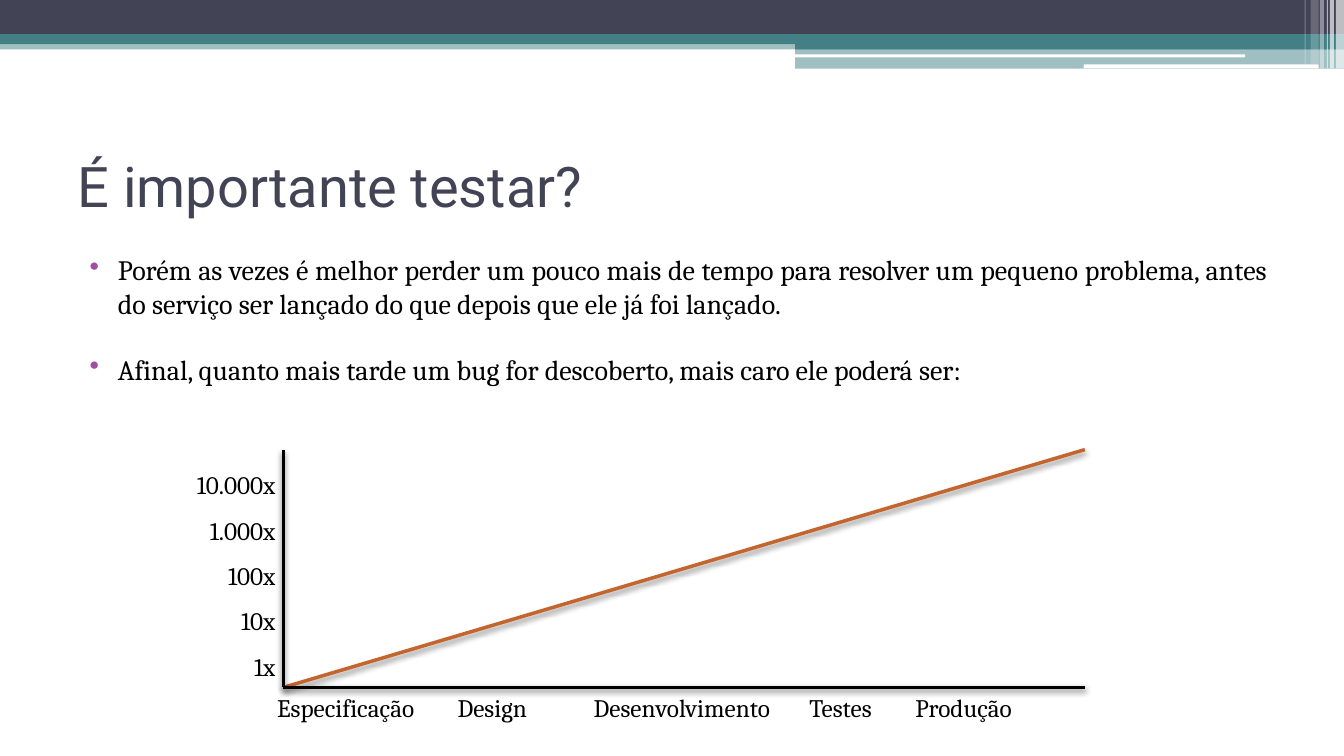
import pptx
import pptx.dml.color
import pptx.enum.shapes
import pptx.enum.text
import pptx.oxml
import pptx.oxml.ns
import pptx.util

WIDTH, HEIGHT = 13.33, 7.5
NAVY, TEAL, WHITE, BLACK = "424456", "438086", "FFFFFF", "000000"
ORANGE, PURPLE = "C4652D", "A04DA3"
KIND = pptx.enum.shapes.MSO_SHAPE
ALIGN = pptx.enum.text.PP_ALIGN
ANCHOR = pptx.enum.text.MSO_ANCHOR


def colour(code):
    return pptx.dml.color.RGBColor.from_string(code)


def element(markup):
    """Parse a drawing element, adding the namespace declaration."""
    name, rest = markup[:-1].split(" ", 1) if " " in markup.split(">")[0] else (
        markup.split(">")[0], None)
    if rest is None:
        head, tail = markup.split(">", 1)
        return pptx.oxml.parse_xml(f"{head} {pptx.oxml.ns.nsdecls('a')}>{tail}")
    return pptx.oxml.parse_xml(f"{name} {pptx.oxml.ns.nsdecls('a')} {rest}>")


def write(para, text, font="Cambria", size=18, ink=BLACK, align=ALIGN.LEFT,
          before=0, spacing=None):
    para.alignment = align
    para.space_before = pptx.util.Pt(before)
    if spacing:
        para.line_spacing = spacing
    span = para.add_run()
    span.text = text
    span.font.name = font
    span.font.size = pptx.util.Pt(size)
    span.font.color.rgb = colour(ink)


def add_bullet(para, ink):
    props = para._p.get_or_add_pPr()
    props.set("marL", str(pptx.util.Inches(0.4)))
    props.set("indent", str(pptx.util.Inches(-0.28)))
    props.append(element(f'<a:buClr><a:srgbClr val="{ink}"/></a:buClr>'))
    props.append(element('<a:buChar char="•"/>'))


def add_tabs(para, stops):
    """Set left tab stops, in inches from the start of the text."""
    tabs = "".join(f'<a:tab pos="{pptx.util.Inches(stop)}" algn="l"/>' for stop in stops)
    para._p.get_or_add_pPr().append(element(f"<a:tabLst>{tabs}</a:tabLst>"))


class Canvas:
    """The current page; all lengths are percentages of its width and height."""

    def __init__(self, deck):
        self.page = deck.slides.add_slide(deck.slide_layouts[6])

    def scale(self, x, y):
        return pptx.util.Inches(x * WIDTH / 100), pptx.util.Inches(y * HEIGHT / 100)

    def block(self, x, y, width, height, fill, opacity=100, kind=KIND.RECTANGLE):
        shape = self.page.shapes.add_shape(kind, *self.scale(x, y), *self.scale(width, height))
        shape.shadow.inherit = False
        shape.line.fill.background()
        shape.fill.solid()
        shape.fill.fore_color.rgb = colour(fill)
        if opacity < 100:
            tint = shape._element.spPr.find(".//" + pptx.oxml.ns.qn("a:srgbClr"))
            tint.append(element(f'<a:alpha val="{opacity * 1000}"/>'))

    def line(self, start, end, ink):
        """Draw a straight line with a soft shadow below it."""
        line = self.page.shapes.add_connector(
            pptx.enum.shapes.MSO_CONNECTOR.STRAIGHT, *self.scale(*start), *self.scale(*end))
        line.line.color.rgb = colour(ink)
        line.line.width = pptx.util.Pt(2.5)
        blur, distance = pptx.util.Pt(4), pptx.util.Pt(2)
        line._element.spPr.append(element(
            f'<a:effectLst><a:outerShdw blurRad="{blur}" dist="{distance}" dir="5400000" '
            f'rotWithShape="0"><a:srgbClr val="{BLACK}"><a:alpha val="45000"/></a:srgbClr>'
            '</a:outerShdw></a:effectLst>'))

    def text(self, x, y, width, height, lines, anchor=ANCHOR.TOP, **style):
        """Write one paragraph per line and return the paragraphs."""
        box = self.page.shapes.add_textbox(*self.scale(x, y), *self.scale(width, height))
        frame = box.text_frame
        frame.word_wrap = True
        frame.vertical_anchor = anchor
        for number, line in enumerate(lines):
            para = frame.add_paragraph() if number else frame.paragraphs[0]
            write(para, line, **style)
        return frame.paragraphs


def draw_header(canvas):
    canvas.block(0, 5.33, 100, 1.2, TEAL, 50)
    canvas.block(0, 0, 100, 4.53, NAVY)
    canvas.block(0, 4.53, 100, 1.33, TEAL)
    canvas.block(59.17, 5.2, 40.83, 1.33, TEAL)
    canvas.block(59.17, 6.4, 40.83, 2.67, TEAL, 50)
    canvas.block(59.12, 7.2, 33.53, 0.4, WHITE, kind=KIND.ROUNDED_RECTANGLE)
    canvas.block(80.64, 8.53, 17.48, 0.53, WHITE, kind=KIND.ROUNDED_RECTANGLE)
    stripes = [(99.4, 0.6, 9.07, 65), (98.95, 0.3, 9.07, 65), (98.72, 0.08, 9.07, 60),
               (98.2, 0.3, 9.07, 40), (97.52, 0.6, 8.53, 20), (97.07, 0.08, 8.53, 30)]
    for x, width, height, opacity in stripes:
        canvas.block(x, 0, width, height, WHITE, opacity)


def draw_cost_graph(canvas):
    left, right, top, bottom = 21.08, 80.72, 59.47, 90.93
    origin = (left, bottom)
    canvas.line(origin, (right, top), ORANGE)
    canvas.line((left, top), origin, BLACK)
    canvas.line(origin, (right, bottom), BLACK)
    canvas.text(12.83, top, 8.4, 31.6, ["10.000x", "1.000x", "100x", "10x", "1x"],
                align=ALIGN.RIGHT, spacing=1.5)
    phases = ["Especificação", "Design", "Desenvolvimento", "Testes", "Produção"]
    axis_labels = canvas.text(19.88, bottom, 62.57, 5.33, ["\t".join(phases)])
    add_tabs(axis_labels[0], [1.79, 3.14, 5.28, 6.33])


def main():
    deck = pptx.Presentation()
    deck.slide_width = pptx.util.Inches(WIDTH)
    deck.slide_height = pptx.util.Inches(HEIGHT)
    canvas = Canvas(deck)
    draw_header(canvas)
    canvas.text(5.03, 16.67, 90.02, 15.6, ["É importante testar?"], anchor=ANCHOR.MIDDLE,
                font="Roboto", size=40, ink=NAVY)
    points = canvas.text(5.03, 32.8, 90.02, 25, [
        "Porém as vezes é melhor perder um pouco mais de tempo para resolver um pequeno "
        "problema, antes do serviço ser lançado do que depois que ele já foi lançado.",
        "Afinal, quanto mais tarde um bug for descoberto, mais caro ele poderá ser:",
    ], size=20, align=ALIGN.JUSTIFY, before=3)
    points[1].space_before = pptx.util.Pt(23)
    for point in points:
        add_bullet(point, PURPLE)
    draw_cost_graph(canvas)
    deck.save("out.pptx")


if __name__ == "__main__":
    main()
